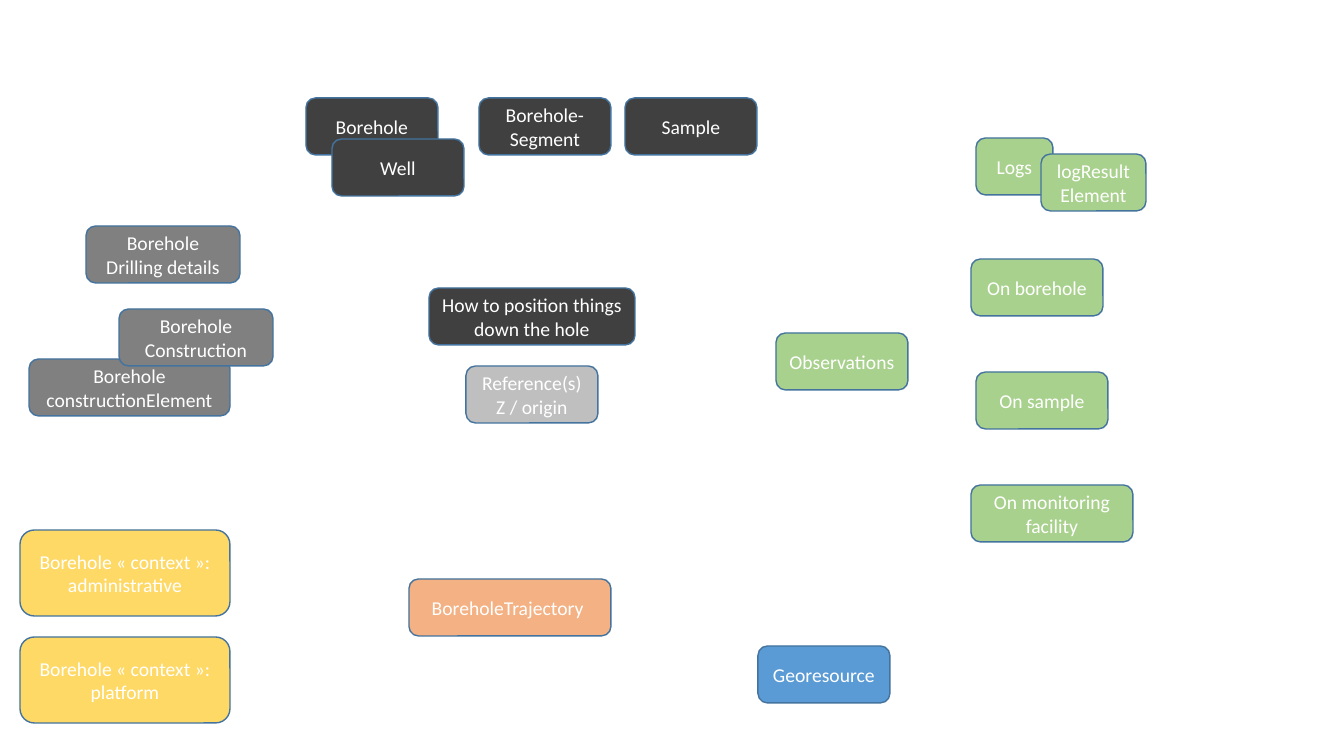
import pptx
import pptx.util
import pptx.dml.color
import pptx.enum.shapes
import pptx.enum.text
from dataclasses import dataclass


@dataclass(frozen=True)
class Theme:
    font: str = "Calibri"
    size: int = 14
    text: str = "FFFFFF"
    line: str = "43739E"
    line_width: int = 1
    feature: str = "404040"
    construction: str = "808080"
    reference: str = "BFBFBF"
    observation: str = "A9D18E"
    trajectory: str = "F4B183"
    resource: str = "5B9BD5"
    context: str = "FFD966"


theme = Theme()
SLIDE_W, SLIDE_H = 1344, 756
BOX_W, BOX_H = 132, 57
DRILL_W = 154
CONTEXT_W, CONTEXT_H = 210, 86
TOP_ROW = 98
LEFT = 20
OBSERVED_LEFT, OBSERVED_TOP, OBSERVED_STEP = 971, 259, 113
CONTEXT_TOP, CONTEXT_STEP = 530, 107

observed_top = [OBSERVED_TOP + i * OBSERVED_STEP for i in range(3)]
context_top = [CONTEXT_TOP + i * CONTEXT_STEP for i in range(2)]

BOXES = [
    ("Borehole", theme.feature, 306, TOP_ROW, BOX_W, BOX_H),
    ("Well", theme.feature, 332, 139, BOX_W, BOX_H),
    ("Borehole-Segment", theme.feature, 479, TOP_ROW, BOX_W, BOX_H),
    ("Reference(s) Z / origin", theme.reference, 466, 366, BOX_W, BOX_H),
    ("Logs", theme.observation, 976, 138, 77, BOX_H),
    ("Observations", theme.observation, 776, 333, BOX_W, BOX_H),
    ("Sample", theme.feature, 625, TOP_ROW, BOX_W, BOX_H),
    ("On borehole", theme.observation, OBSERVED_LEFT, observed_top[0], BOX_W, BOX_H),
    ("On sample", theme.observation, 976, observed_top[1], BOX_W, BOX_H),
    ("On monitoring facility", theme.observation, OBSERVED_LEFT, observed_top[2], 162, BOX_H),
    ("BoreholeTrajectory ", theme.trajectory, 409, 579, 202, BOX_H),
    ("Borehole\nDrilling details", theme.construction, 86, 226, DRILL_W, BOX_H),
    ("Georesource", theme.resource, 758, 646, BOX_W, BOX_H),
    ("Borehole «\u00a0context\u00a0»: administrative", theme.context,
     LEFT, context_top[0], CONTEXT_W, CONTEXT_H),
    ("Borehole «\u00a0context\u00a0»: platform", theme.context,
     LEFT, context_top[1], CONTEXT_W, CONTEXT_H),
    ("Borehole\nconstructionElement", theme.construction, 29, 359, 201, BOX_H),
    ("logResultElement", theme.observation, 1041, 154, 105, BOX_H),
    ("Borehole\nConstruction", theme.construction, 119, 309, DRILL_W, BOX_H),
    ("How to position things down the hole", theme.feature, 429, 288, 206, BOX_H),
]


def px(n):
    return pptx.util.Emu(round(n * 914400 / 100.8))


def rgb(value):
    return pptx.dml.color.RGBColor.from_string(value)


def add_box(s, text, fill, left, top, width, height):
    sp = s.shapes.add_shape(
        pptx.enum.shapes.MSO_SHAPE.ROUNDED_RECTANGLE,
        px(left), px(top), px(width), px(height))
    sp.shadow.inherit = False
    sp.fill.solid()
    sp.fill.fore_color.rgb = rgb(fill)
    sp.line.color.rgb = rgb(theme.line)
    sp.line.width = pptx.util.Pt(theme.line_width)
    tf = sp.text_frame
    tf.word_wrap = True
    tf.vertical_anchor = pptx.enum.text.MSO_ANCHOR.MIDDLE
    tf.text = text
    for p in tf.paragraphs:
        p.alignment = pptx.enum.text.PP_ALIGN.CENTER
        p.font.name = theme.font
        p.font.size = pptx.util.Pt(theme.size)
        p.font.color.rgb = rgb(theme.text)


prs = pptx.Presentation()
prs.slide_width, prs.slide_height = px(SLIDE_W), px(SLIDE_H)
s = prs.slides.add_slide(prs.slide_layouts[6])
for box in BOXES:
    add_box(s, *box)
prs.save("out.pptx")
